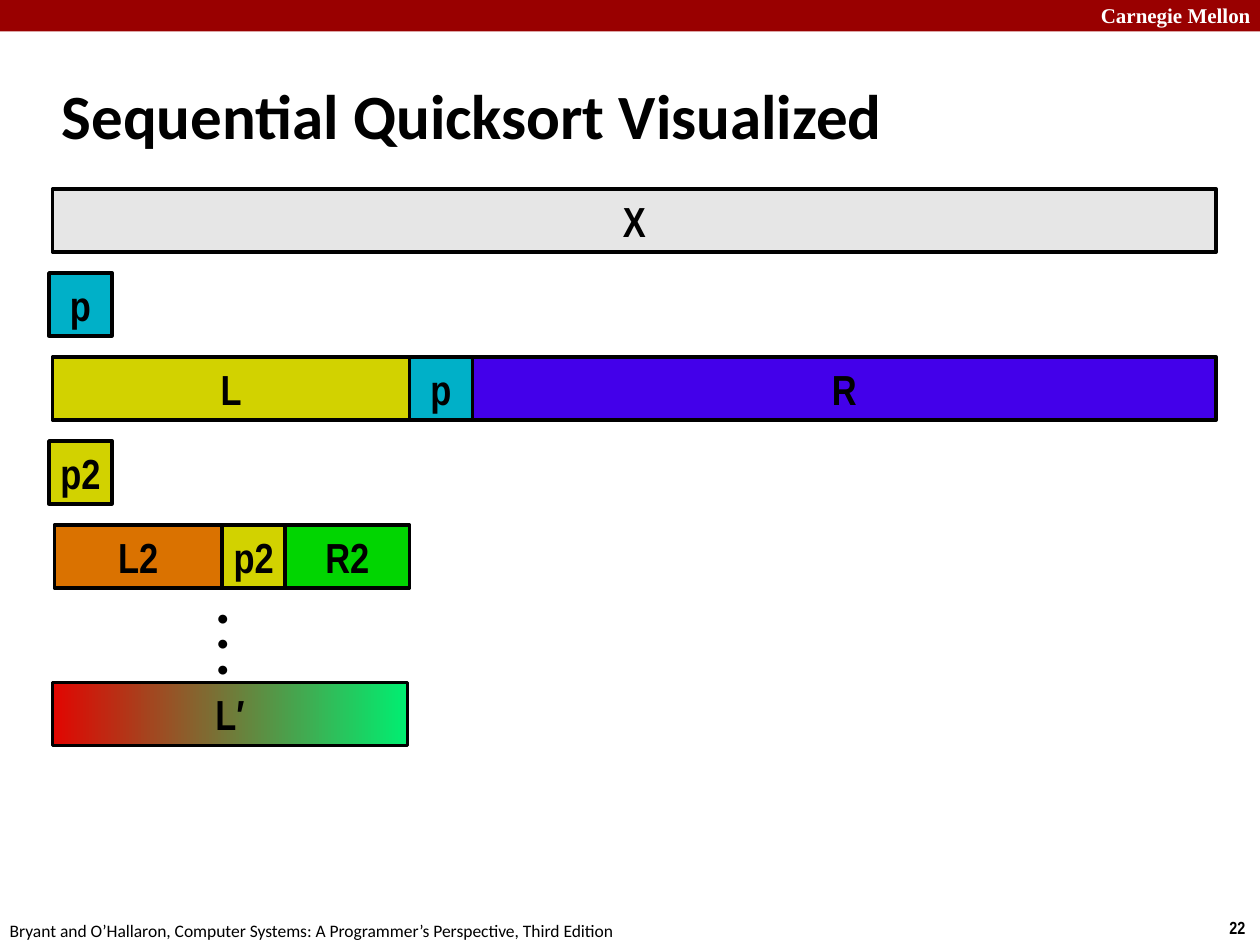
from dataclasses import dataclass

from pptx import Presentation
from pptx.dml.color import RGBColor
from pptx.enum.shapes import MSO_SHAPE as Shape
from pptx.enum.text import MSO_ANCHOR as Anchor, MSO_AUTO_SIZE as AutoSize, PP_ALIGN as Align
from pptx.util import Pt


@dataclass(frozen=True)
class Theme:
    banner: str = "990000"
    ink: str = "000000"
    white: str = "FFFFFF"
    whole: str = "E6E6E6"
    pivot: str = "00B0C8"
    left: str = "D2D200"
    right: str = "4300EA"
    left2: str = "DA7200"
    right2: str = "01D501"
    sorted_range: tuple = ("E10601", "00EE71")
    body_font: str = "Calibri"
    label_font: str = "Arial Narrow"
    banner_font: str = "Times New Roman"
    title_size: int = 36
    label_size: int = 24
    small_size: int = 12
    footer_size: int = 10


THEME = Theme()
BAR_HEIGHT = 36
ROW_PITCH = 48
PIVOT_WIDTH = 36


def rgb(color):
    return RGBColor.from_string(color)


def add_run(paragraph, text, font, size, color=THEME.ink, bold=True):
    run = paragraph.add_run()
    run.text = text
    run.font.name = font
    run.font.size = Pt(size)
    run.font.bold = bold
    run.font.color.rgb = rgb(color)


def add_text(shapes, box, lines, font, size, color=THEME.ink, bold=True, wrap=False):
    frame = shapes.add_textbox(*map(Pt, box)).text_frame
    frame.word_wrap = wrap
    for number, line in enumerate(lines):
        paragraph = frame.add_paragraph() if number else frame.paragraphs[0]
        add_run(paragraph, line, font, size, color, bold)


def paint(fill, color):
    """Fill with one colour, or with a left-to-right gradient for a pair."""
    if isinstance(color, str):
        fill.solid()
        fill.fore_color.rgb = rgb(color)
        return
    fill.gradient()
    fill.gradient_angle = 0
    for stop, stop_color, position in zip(fill.gradient_stops, color, (0, 1)):
        stop.color.rgb = rgb(stop_color)
        stop.position = position


def add_bar(shapes, left, top, width, label, color):
    bar = shapes.add_shape(Shape.RECTANGLE, *map(Pt, (left, top, width, BAR_HEIGHT)))
    bar.shadow.inherit = False
    paint(bar.fill, color)
    bar.line.color.rgb = rgb(THEME.ink)
    bar.line.width = Pt(2)
    frame = bar.text_frame
    frame.word_wrap = False
    frame.vertical_anchor = Anchor.MIDDLE
    paragraph = frame.paragraphs[0]
    paragraph.alignment = Align.CENTER
    add_run(paragraph, label, THEME.label_font, THEME.label_size)


def add_partition(shapes, left, top, parts):
    """Group adjoining bars, each given as (label, width, colour)."""
    group = shapes.add_group_shape()
    for label, width, color in parts:
        add_bar(group.shapes, left, top, width, label, color)
        left += width


def add_banner(shapes, left, top, width, height):
    band = shapes.add_shape(Shape.RECTANGLE, *map(Pt, (left, top, width, height)))
    band.shadow.inherit = False
    paint(band.fill, THEME.banner)
    band.line.fill.background()
    add_text(shapes, (left + width - 98, top - 2, 103, 22), ["Carnegie Mellon"],
             THEME.banner_font, THEME.small_size, THEME.white, wrap=True)


def add_footer(shapes, left, top, width):
    add_text(shapes, (left + width - 24.5, top - 1.5, 24.5, 19.5), ["22"],
             THEME.label_font, THEME.footer_size)
    add_text(shapes, (left - 1.5, top, 366, 19.5),
             ["Bryant and O’Hallaron, Computer Systems: "
              "A Programmer’s Perspective, Third Edition"],
             THEME.body_font, THEME.footer_size, bold=False)


def set_title(title, left, top, width, height):
    title.left, title.top, title.width, title.height = map(Pt, (left, top, width, height))
    frame = title.text_frame
    frame.auto_size = AutoSize.NONE
    frame.word_wrap = True
    frame.vertical_anchor = Anchor.MIDDLE
    paragraph = frame.paragraphs[0]
    paragraph.alignment = Align.LEFT
    properties = paragraph._p.get_or_add_pPr()
    properties.set("marL", str(Pt(9)))
    properties.set("indent", str(-Pt(9)))
    add_run(paragraph, "Sequential Quicksort Visualized", THEME.body_font, THEME.title_size)


def add_quicksort(shapes, left, top, width):
    left_width = 204
    left2_width = 96
    pivot_left = left - 2
    row_tops = [top + row * ROW_PITCH for row in range(5)]

    add_bar(shapes, left, row_tops[0], width, "X", THEME.whole)
    add_bar(shapes, pivot_left, row_tops[1], PIVOT_WIDTH, "p", THEME.pivot)
    add_partition(shapes, left, row_tops[2], [
        ("L", left_width, THEME.left),
        ("p", PIVOT_WIDTH, THEME.pivot),
        ("R", width - left_width - PIVOT_WIDTH, THEME.right),
    ])
    add_bar(shapes, pivot_left, row_tops[3], PIVOT_WIDTH, "p2", THEME.left)
    add_partition(shapes, left + 1, row_tops[4], [
        ("L2", left2_width, THEME.left2),
        ("p2", PIVOT_WIDTH, THEME.left),
        ("R2", left_width - 1 - left2_width - PIVOT_WIDTH, THEME.right2),
    ])

    recursion = shapes.add_group_shape().shapes
    add_text(recursion, (left + 87.3, row_tops[4] + 42, 20, 51), ["•"] * 3,
             THEME.body_font, THEME.small_size)
    add_bar(recursion, left, row_tops[4] + 90, left_width - 1, "L′", THEME.sorted_range)


def main():
    deck = Presentation()
    deck.slide_width, deck.slide_height = Pt(720), Pt(540)
    slide = deck.slides.add_slide(deck.slide_layouts[5])
    shapes = slide.shapes
    add_banner(shapes, 0, 0, 720, 18)
    add_footer(shapes, 0, 522, 720)
    set_title(shapes.title, 28, 35.5, 598, 60)
    add_quicksort(shapes, 30, 108, 665)
    deck.save("out.pptx")


if __name__ == "__main__":
    main()
